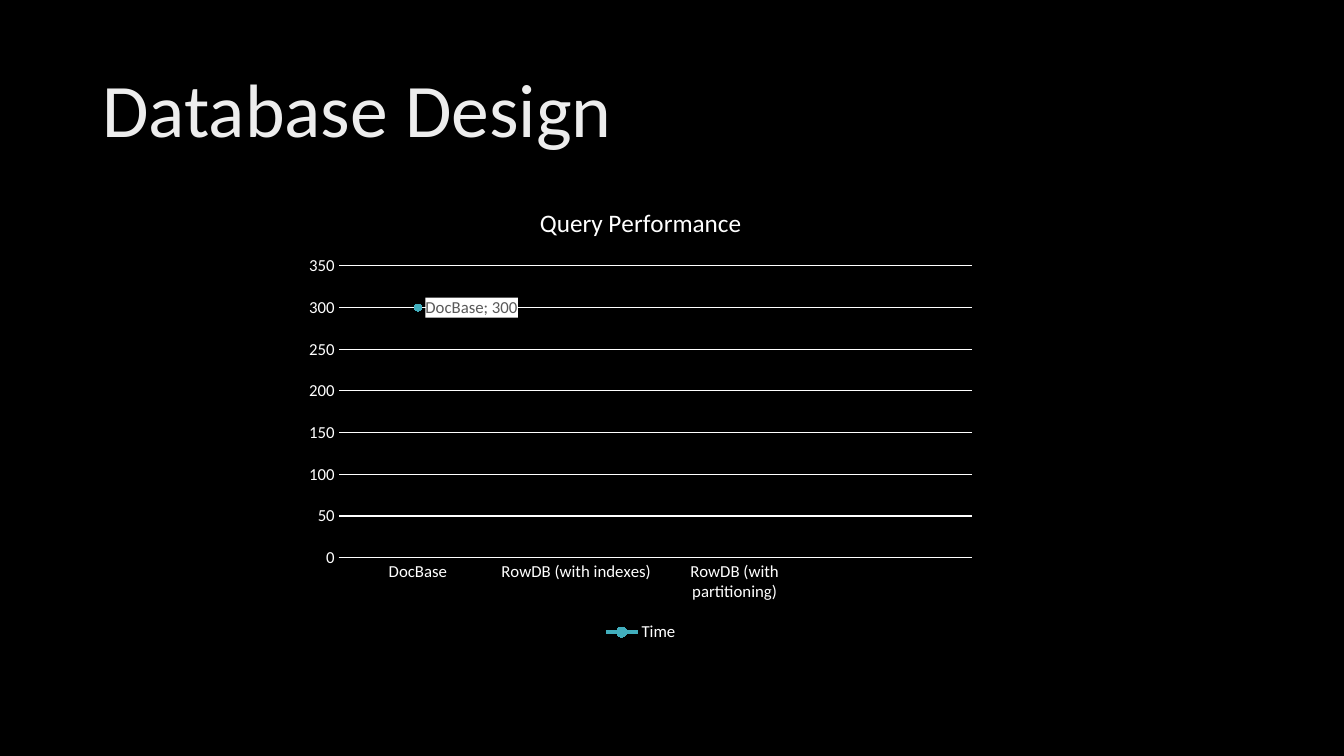
from lxml import etree
from pptx import Presentation
from pptx.chart.data import CategoryChartData
from pptx.dml.color import RGBColor
from pptx.enum.chart import (XL_CHART_TYPE as ChartType, XL_LABEL_POSITION as LabelPosition,
                             XL_LEGEND_POSITION as LegendPosition,
                             XL_MARKER_STYLE as MarkerStyle, XL_TICK_MARK as TickMark)
from pptx.enum.text import MSO_ANCHOR as Anchor, PP_ALIGN as Align
from pptx.oxml import parse_xml
from pptx.oxml.ns import nsdecls, qn
from pptx.util import Pt

FONT = "Calibri"
BLACK, WHITE, SILVER, GREY, TEAL = "000000", "FFFFFF", "EDEDED", "595959", "41AEBD"
TIMES = {
    "DocBase": 300,
    "RowDB (with indexes)": None,
    "RowDB (with partitioning)": None,
    "": None,
}


def paint(target, color):
    """Give a fill one solid colour."""
    target.solid()
    target.fore_color.rgb = RGBColor.from_string(color)


def style_font(font, size, color):
    font.name = FONT
    font.size = Pt(size)
    font.bold = False
    paint(font.fill, color)


def style_line(line, width, color):
    line.width = Pt(width)
    paint(line.fill, color)


def add_title(slide, text):
    title = slide.shapes.title
    title.left, title.top, title.width, title.height = Pt(66), Pt(28.8), Pt(828), Pt(104.4)
    frame = title.text_frame
    frame.text = text
    frame.word_wrap = True
    frame.vertical_anchor = Anchor.MIDDLE
    paragraph = frame.paragraphs[0]
    paragraph.alignment = Align.LEFT
    paragraph.line_spacing = 0.9
    style_font(paragraph.font, 54, SILVER)


def style_axes(chart):
    for axis in (chart.category_axis, chart.value_axis):
        axis.major_tick_mark = axis.minor_tick_mark = TickMark.NONE
        style_font(axis.tick_labels.font, 12, WHITE)
    style_line(chart.category_axis.format.line, 0.75, WHITE)
    value_axis = chart.value_axis
    value_axis.minimum_scale, value_axis.maximum_scale, value_axis.major_unit = 0, 350, 50
    value_axis.format.line.fill.background()
    value_axis.has_major_gridlines = True
    style_line(value_axis.major_gridlines.format.line, 0.75, WHITE)


def style_series(series):
    series.smooth = False
    style_line(series.format.line, 2.25, TEAL)
    marker = series.marker
    marker.style, marker.size = MarkerStyle.CIRCLE, 5
    paint(marker.format.fill, TEAL)
    style_line(marker.format.line, 0.75, TEAL)


def label_series(series):
    """Show category and value on a white box right of each point."""
    labels = series.data_labels
    labels.show_category_name = labels.show_value = True
    labels.position = LabelPosition.RIGHT
    style_font(labels.font, 12, GREY)
    box = parse_xml(f'<c:spPr {nsdecls("c", "a")}><a:solidFill><a:srgbClr val="{WHITE}"/>'
                    '</a:solidFill></c:spPr>')
    element = labels._element
    element.find(qn("c:txPr")).addprevious(box)
    etree.SubElement(element, qn("c:separator")).text = "; "


def add_line_chart(slide, title, name, values):
    data = CategoryChartData()
    data.categories = list(values)
    data.add_series(name, list(values.values()))
    chart = slide.shapes.add_chart(ChartType.LINE_MARKERS, Pt(211), Pt(133.2),
                                   Pt(493.2), Pt(328.3), data).chart
    style_font(chart.font, 10, WHITE)
    chart.has_title = True
    chart.chart_title.include_in_layout = False
    chart.chart_title.text_frame.text = title
    style_font(chart.chart_title.text_frame.paragraphs[0].font, 18, WHITE)
    chart.has_legend = True
    chart.legend.position = LegendPosition.BOTTOM
    chart.legend.include_in_layout = False
    style_font(chart.legend.font, 12, WHITE)
    style_axes(chart)
    chart.plots[0].vary_by_categories = False
    series = chart.plots[0].series[0]
    style_series(series)
    label_series(series)


def main():
    presentation = Presentation()
    presentation.slide_width, presentation.slide_height = Pt(960), Pt(540)
    slide = presentation.slides.add_slide(presentation.slide_layouts[5])
    paint(slide.background.fill, BLACK)
    add_title(slide, "Database Design")
    add_line_chart(slide, "Query Performance", "Time", TIMES)
    presentation.save("out.pptx")


if __name__ == "__main__":
    main()
